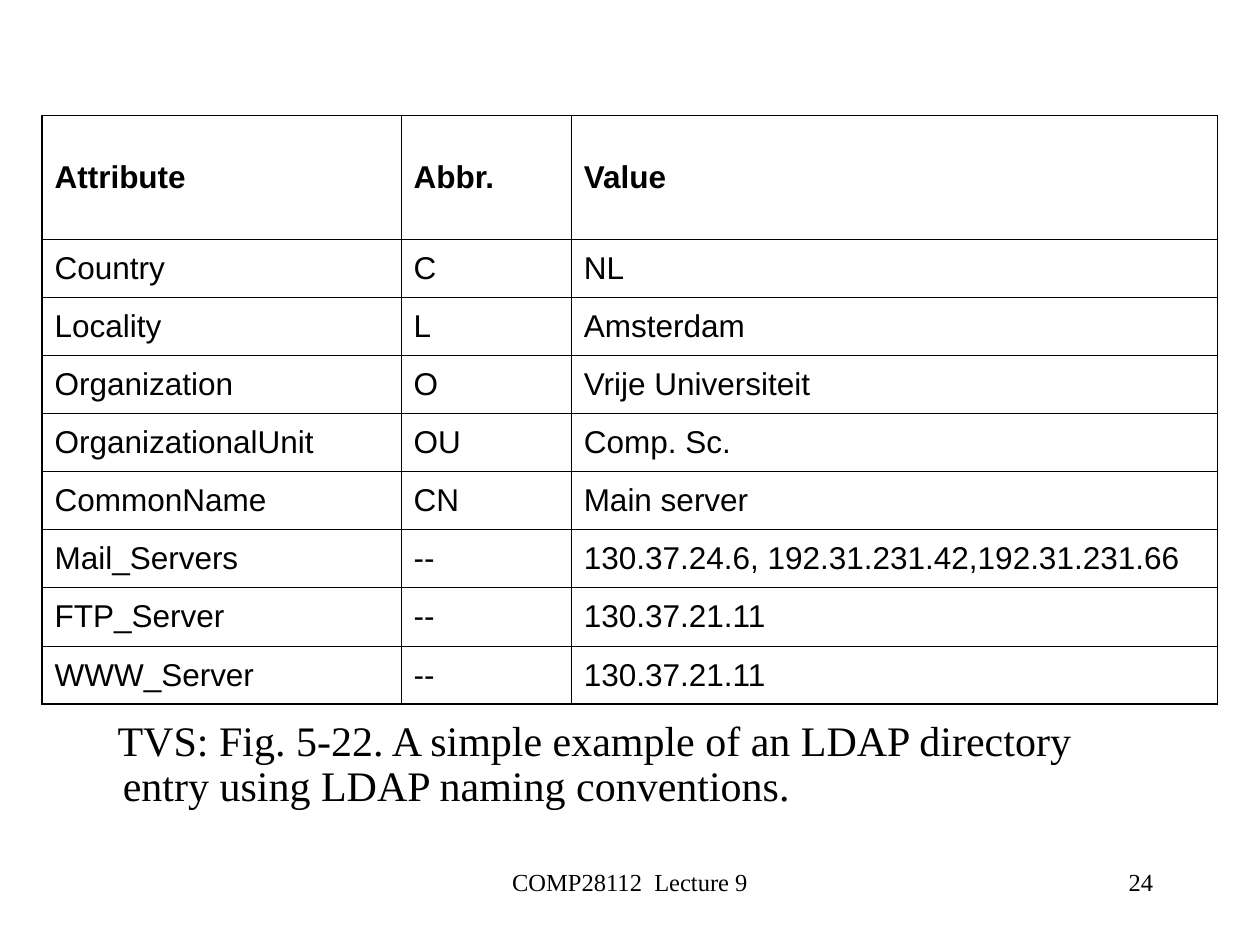
from lxml import etree
from pptx import Presentation
from pptx.dml.color import RGBColor
from pptx.enum import text
from pptx.oxml.ns import qn
from pptx.util import Pt

COLORS = {"ink": "000000"}
SERIF, SANS = "Times New Roman", "Arial"
THIN, THICK = 0.45, 1.08
COLUMNS = [205.2, 97.2, 369.4]
HEADER_HEIGHT, ROW_HEIGHT = 70.6, 33.25
ENTRY = [
    ("Attribute", "Abbr.", "Value"),
    ("Country", "C", "NL"),
    ("Locality", "L", "Amsterdam"),
    ("Organization", "O", "Vrije Universiteit"),
    ("OrganizationalUnit", "OU", "Comp. Sc."),
    ("CommonName", "CN", "Main server"),
    ("Mail_Servers", "--", "130.37.24.6, 192.31.231.42,192.31.231.66"),
    ("FTP_Server", "--", "130.37.21.11"),
    ("WWW_Server", "--", "130.37.21.11"),
]


def add_run(p, words, size, font, bold=False):
    """Add one formatted run to a paragraph."""
    r = p.add_run()
    r.text = words
    r.font.size, r.font.name, r.font.bold = Pt(size), font, bold
    r.font.color.rgb = RGBColor.from_string(COLORS["ink"])


def set_borders(cell, widths):
    """Draw the left, right, top and bottom borders of a cell."""
    tc_pr = cell._tc.get_or_add_tcPr()
    for i, (side, width) in enumerate(zip("LRTB", widths)):
        ln = etree.Element(qn(f"a:ln{side}"), w=str(Pt(width)))
        fill = etree.SubElement(ln, qn("a:solidFill"))
        etree.SubElement(fill, qn("a:srgbClr"), val=COLORS["ink"])
        tc_pr.insert(i, ln)


def add_entry_table(s, x, y):
    """Place the directory entry table with its corner at x, y."""
    last_row, last_col = len(ENTRY) - 1, len(COLUMNS) - 1
    height = HEADER_HEIGHT + last_row * ROW_HEIGHT
    table = s.shapes.add_table(len(ENTRY), len(COLUMNS), Pt(x), Pt(y),
                               Pt(sum(COLUMNS)), Pt(height)).table
    table.first_row = table.horz_banding = False
    for col, width in zip(table.columns, COLUMNS):
        col.width = Pt(width)
    for i, values in enumerate(ENTRY):
        table.rows[i].height = Pt(ROW_HEIGHT if i else HEADER_HEIGHT)
        for j, value in enumerate(values):
            cell = table.cell(i, j)
            cell.fill.background()
            cell.vertical_anchor = text.MSO_ANCHOR.MIDDLE
            edges = (j == 0, j == last_col, i == 0, i == last_row)
            set_borders(cell, [THICK if edge else THIN for edge in edges])
            p = cell.text_frame.paragraphs[0]
            p.space_before = Pt(4.5)
            add_run(p, value, 18, SANS, bold=i == 0)


def fill_caption(sp, x, y, w, h):
    """Move the body placeholder to the box and write the caption."""
    sp.left, sp.top, sp.width, sp.height = map(Pt, (x, y, w, h))
    p = sp.text_frame.paragraphs[0]
    p.line_spacing, p.space_before = 0.9, Pt(6)
    p_pr = p._p.get_or_add_pPr()
    p_pr.set("marL", str(Pt(27)))
    p_pr.set("indent", str(Pt(-3)))
    etree.SubElement(p_pr, qn("a:buNone"))
    add_run(p, "TVS: Fig. 5-22. A simple example of an LDAP directory entry "
               "using LDAP naming conventions.", 24, SERIF)


def add_footer(s, words, align, x, y, w, h):
    """Add one footer text in the given box."""
    tf = s.shapes.add_textbox(*map(Pt, (x, y, w, h))).text_frame
    tf.word_wrap = True
    p = tf.paragraphs[0]
    p.alignment = align
    add_run(p, words, 14, SERIF)


def build_slide(prs):
    """Build the directory entry slide."""
    s = prs.slides.add_slide(prs.slide_layouts[1])
    title, caption = s.placeholders
    title._element.getparent().remove(title._element)
    add_footer(s, "COMP28112  Lecture 9", text.PP_ALIGN.CENTER, 246, 492, 228, 36)
    add_footer(s, "24", text.PP_ALIGN.RIGHT, 516, 492, 150, 36)
    fill_caption(caption, 36, 408, 588, 72)
    add_entry_table(s, 24, 66)


prs = Presentation()
prs.slide_width, prs.slide_height = Pt(720), Pt(540)
build_slide(prs)
prs.save("out.pptx")
